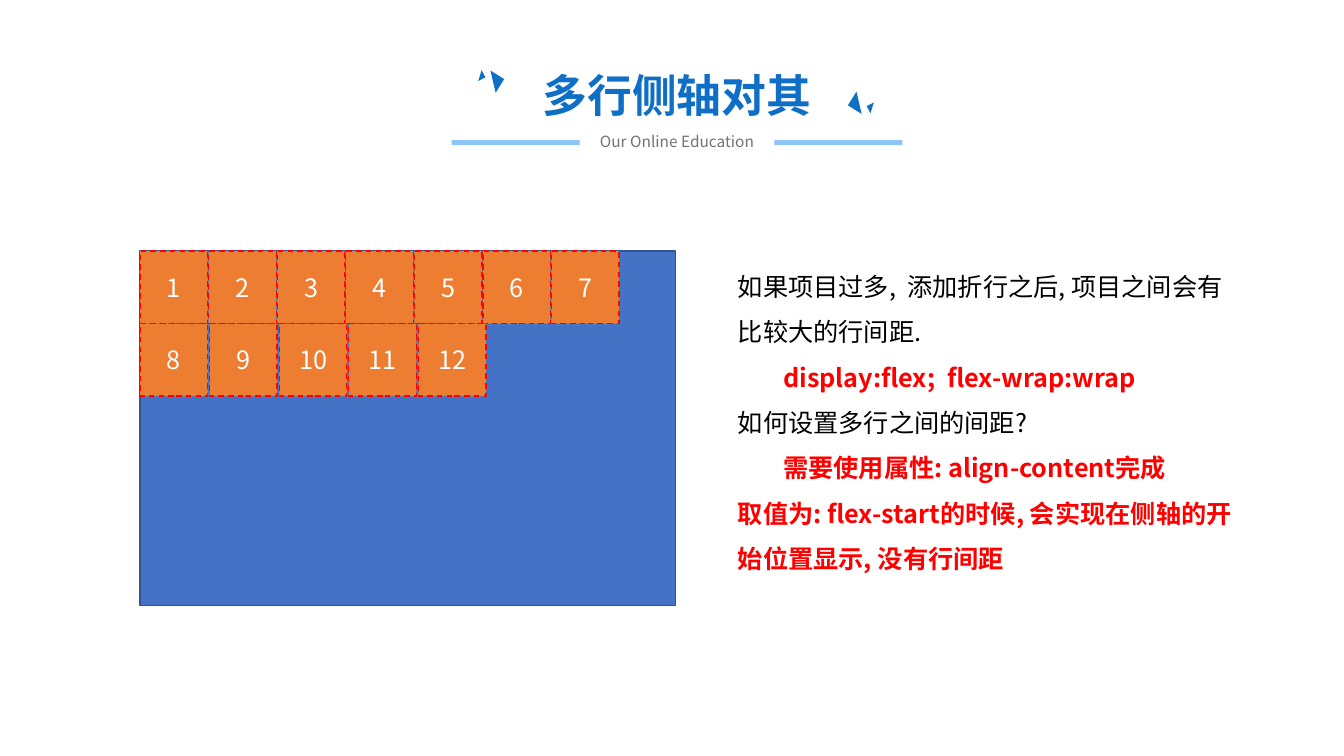
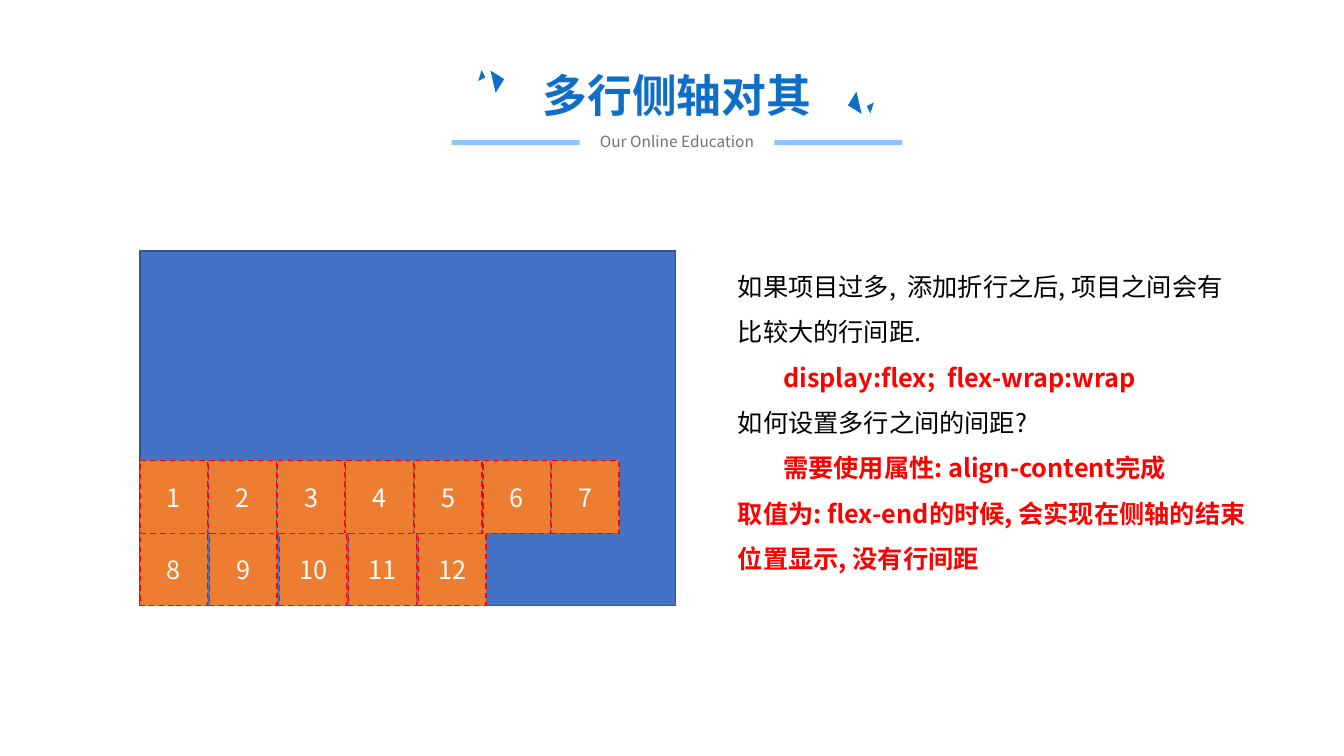
"""Build two slides on the cross-axis alignment of wrapped flex rows."""
from dataclasses import dataclass

from lxml.etree import SubElement
from pptx import Presentation
from pptx.dml.color import RGBColor
from pptx.enum.dml import MSO_LINE
from pptx.enum.lang import MSO_LANGUAGE_ID
from pptx.enum.shapes import MSO_SHAPE
from pptx.enum.text import MSO_ANCHOR, MSO_AUTO_SIZE, PP_ALIGN
from pptx.oxml.ns import qn
from pptx.util import Emu, Pt

EMU_PER_PX = 9144
SLIDE_SIZE = (1333, 750)
TITLE_ONLY_LAYOUT = 5

TITLE_BOX = (528, 62, 287, 64)
SUBTITLE_BOX = (582, 126, 179, 29)
BAR_LEFTS = (448, 768)
TRIANGLE_GROUPS = (
    ((481, 73, 16, 211.9), (472, 71, 8, 242.5)),
    ((844, 94, 16, 31.9), (861, 103, 8, 62.5)),
)

EXPLANATION_BOX = (722, 249, 525, 328)
CODE_INDENT = 45
CONTAINER_BOX = (139, 249, 531, 352)
ITEM_SIZE = (67, 72)
ITEM_ROWS = ((range(1, 8), 68), (range(8, 13), 69))


@dataclass(frozen=True)
class Theme:
    """Colours, font and type sizes of the deck."""

    font: str = "Noto Sans CJK SC"
    title: str = "0F6FC6"
    bar: str = "8EC4F6"
    subtitle: str = "767171"
    body: str = "000000"
    highlight: str = "FF0000"
    container: str = "4472C4"
    container_line: str = "325491"
    item: str = "ED7D31"
    item_text: str = "FFFFFF"
    title_size: int = 32
    subtitle_size: int = 11
    body_size: int = 18


THEME = Theme()


def px(*lengths):
    """Turn pixel lengths into EMU."""
    return [Emu(length * EMU_PER_PX) for length in lengths]


def write_text(paragraph, text, *, size=THEME.body_size, color=THEME.body, bold=False,
               align=PP_ALIGN.LEFT, line_spacing=None, indent=0):
    """Put one formatted run into a paragraph."""
    paragraph.alignment = align
    paragraph.line_spacing = line_spacing
    if indent:
        paragraph._p.get_or_add_pPr().set("marL", str(px(indent)[0]))
    run = paragraph.add_run()
    run.text = text
    font = run.font
    font.name = THEME.font
    font.size = Pt(size)
    font.bold = bold
    font.color.rgb = RGBColor.from_string(color)
    font.language_id = MSO_LANGUAGE_ID.SIMPLIFIED_CHINESE
    SubElement(run._r.get_or_add_rPr(), qn("a:ea"), typeface=THEME.font)


def add_box(shapes, kind, box, fill, *, line=None, dash=None):
    """Add a flat preset shape with an optional outline."""
    shape = shapes.add_shape(kind, *px(*box))
    shape.shadow.inherit = False
    shape.fill.solid()
    shape.fill.fore_color.rgb = RGBColor.from_string(fill)
    if line:
        shape.line.color.rgb = RGBColor.from_string(line)
        shape.line.width = Pt(1)
        shape.line.dash_style = dash
    else:
        shape.line.fill.background()
    return shape


def add_text_box(slide, box, *, wrap):
    """Add a text box that grows with its text and return its frame."""
    frame = slide.shapes.add_textbox(*px(*box)).text_frame
    frame.word_wrap = wrap
    frame.auto_size = MSO_AUTO_SIZE.SHAPE_TO_FIT_TEXT
    return frame


def add_heading(slide, title, subtitle):
    """Fill the title and draw the subtitle, bars and triangles around it."""
    placeholder = slide.shapes.title
    placeholder.left, placeholder.top, placeholder.width, placeholder.height = px(*TITLE_BOX)
    frame = placeholder.text_frame
    frame.word_wrap = False
    frame.auto_size = MSO_AUTO_SIZE.NONE
    frame.vertical_anchor = MSO_ANCHOR.MIDDLE
    write_text(frame.paragraphs[0], title, size=THEME.title_size, color=THEME.title,
               bold=True, align=PP_ALIGN.CENTER)

    for triangles in TRIANGLE_GROUPS:
        group = slide.shapes.add_group_shape()
        for left, top, side, rotation in triangles:
            triangle = add_box(group.shapes, MSO_SHAPE.RIGHT_TRIANGLE,
                               (left, top, side, side), THEME.title)
            triangle.rotation = rotation

    frame = add_text_box(slide, SUBTITLE_BOX, wrap=False)
    write_text(frame.paragraphs[0], subtitle, size=THEME.subtitle_size,
               color=THEME.subtitle, align=PP_ALIGN.CENTER)
    for left in BAR_LEFTS:
        add_box(slide.shapes, MSO_SHAPE.RECTANGLE, (left, 139, 127, 5), THEME.bar)


def add_explanation(slide, conclusion):
    """Add the explanation, ending with the slide's own conclusion."""
    highlight = {"color": THEME.highlight, "bold": True}
    code = {**highlight, "indent": CODE_INDENT}
    lines = (
        ("如果项目过多,  添加折行之后, 项目之间会有比较大的行间距.", {}),
        ("display:flex;  flex-wrap:wrap", code),
        ("如何设置多行之间的间距?", {}),
        ("需要使用属性: align-content完成", code),
        (conclusion, highlight),
    )
    frame = add_text_box(slide, EXPLANATION_BOX, wrap=True)
    for index, (text, style) in enumerate(lines):
        paragraph = frame.add_paragraph() if index else frame.paragraphs[0]
        write_text(paragraph, text, line_spacing=1.5, **style)


def add_flex_container(slide, *, at_end):
    """Draw the container with its item rows at the start or the end."""
    left, top, _, height = CONTAINER_BOX
    item_width, item_height = ITEM_SIZE
    add_box(slide.shapes, MSO_SHAPE.RECTANGLE, CONTAINER_BOX, THEME.container,
            line=THEME.container_line)
    first_top = top + height - len(ITEM_ROWS) * item_height if at_end else top
    for row, (numbers, pitch) in enumerate(ITEM_ROWS):
        for column, number in enumerate(numbers):
            box = (left + column * pitch, first_top + row * item_height,
                   item_width, item_height)
            item = add_box(slide.shapes, MSO_SHAPE.RECTANGLE, box, THEME.item,
                           line=THEME.highlight, dash=MSO_LINE.DASH)
            frame = item.text_frame
            frame.vertical_anchor = MSO_ANCHOR.MIDDLE
            write_text(frame.paragraphs[0], str(number), color=THEME.item_text,
                       align=PP_ALIGN.CENTER)


def add_alignment_slide(presentation, conclusion, *, at_end):
    """Add one slide that shows and explains an align-content value."""
    slide = presentation.slides.add_slide(presentation.slide_layouts[TITLE_ONLY_LAYOUT])
    add_heading(slide, "多行侧轴对其", "Our Online Education")
    add_explanation(slide, conclusion)
    add_flex_container(slide, at_end=at_end)


def main():
    """Build and save the presentation."""
    presentation = Presentation()
    presentation.slide_width, presentation.slide_height = px(*SLIDE_SIZE)
    add_alignment_slide(
        presentation, "取值为: flex-start的时候, 会实现在侧轴的开始位置显示, 没有行间距",
        at_end=False)
    add_alignment_slide(
        presentation, "取值为: flex-end的时候, 会实现在侧轴的结束位置显示, 没有行间距",
        at_end=True)
    presentation.save("out.pptx")


if __name__ == "__main__":
    main()
